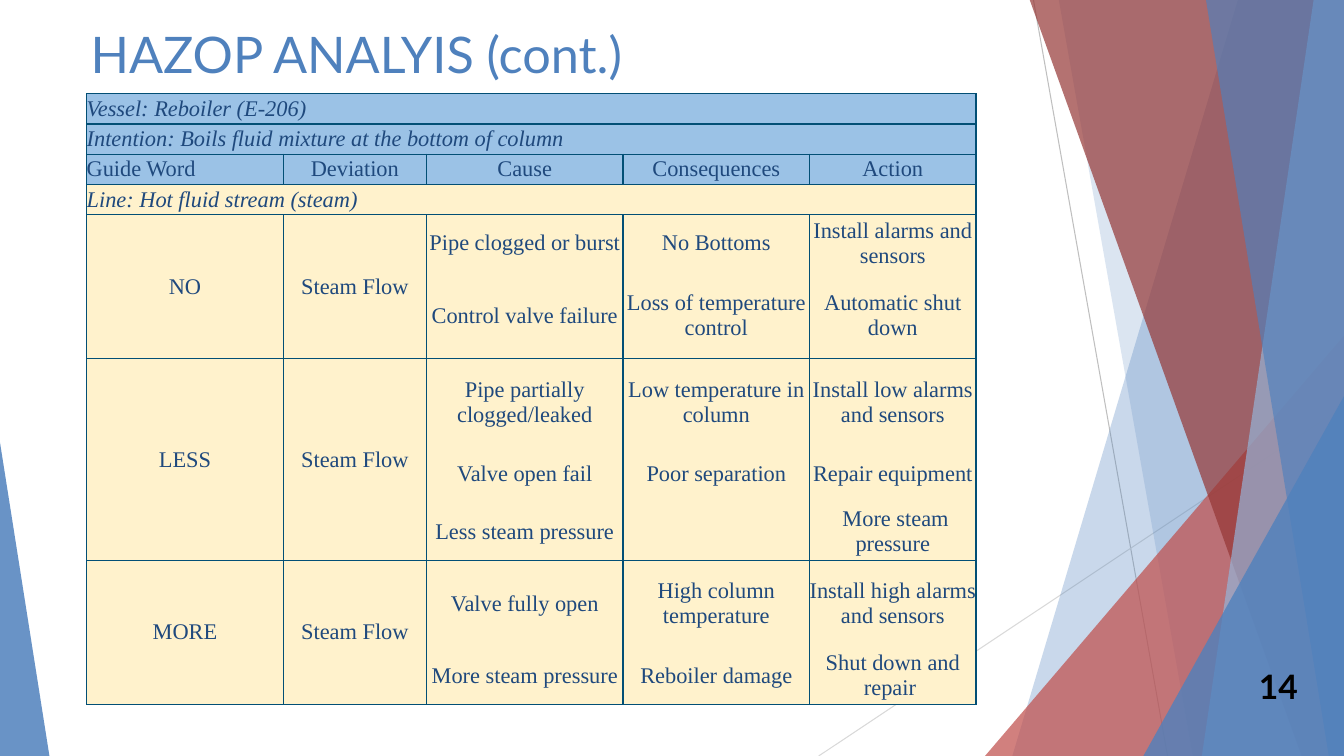
from lxml import etree
from pptx import Presentation
from pptx.dml.color import RGBColor
from pptx.enum.shapes import MSO_CONNECTOR, MSO_SHAPE
from pptx.enum.text import MSO_ANCHOR, PP_ALIGN
from pptx.oxml.ns import qn
from pptx.util import Inches, Pt

LEFT, CENTER, RIGHT = PP_ALIGN.LEFT, PP_ALIGN.CENTER, PP_ALIGN.RIGHT
TOP, MIDDLE = MSO_ANCHOR.TOP, MSO_ANCHOR.MIDDLE
STRAIGHT, TRIANGLE = MSO_CONNECTOR.STRAIGHT, MSO_SHAPE.ISOSCELES_TRIANGLE

# Content
WIDTH, HEIGHT = 13.33, 7.5
TITLE = "HAZOP ANALYIS (cont.)"
PAGE_NUMBER = "14"
BLUE, NAVY, BORDER = "4F81BD", "1F497D", "024F75"
HEADER_FILL, BODY_FILL = "9BC2E6", "FFF2CC"

BANNERS = [  # row, text, fill
    (0, "Vessel: Reboiler (E-206)", HEADER_FILL),
    (1, "Intention: Boils fluid mixture at the bottom of column", HEADER_FILL),
    (3, "Line: Hot fluid stream (steam)", BODY_FILL),
]
HEADINGS = ["Guide Word", "Deviation", "Cause", "Consequences", "Action"]
HEADING_ROW = 2
GROUPS = [  # guide word, deviation, rows of (cause, consequence, action)
    ("NO", "Steam Flow", [
        ("Pipe clogged or burst", "No Bottoms", "Install alarms and sensors"),
        ("Control valve failure", "Loss of temperature control", "Automatic shut down"),
    ]),
    ("LESS", "Steam Flow", [
        ("Pipe partially clogged/leaked", "Low temperature in column",
         "Install low alarms and sensors"),
        ("Valve open fail", "Poor separation", "Repair equipment"),
        ("Less steam pressure", "", " More steam pressure"),
    ]),
    ("MORE", "Steam Flow", [
        ("Valve fully open", "High column temperature", "Install high alarms and sensors"),
        ("More steam pressure", "Reboiler damage", "Shut down and repair "),
    ]),
]
TABLE_LEFT, TABLE_TOP = 0.86, 0.93
COLUMN_WIDTHS = [1.95, 1.42, 1.95, 1.85, 1.65]
ROW_HEIGHTS = [0.3] * 4 + [0.57, 0.86, 0.86, 0.57, 0.57, 0.86, 0.57]

THIN_LINES = [((10.25, 0), (11.58, HEIGHT), "BFBFBF"),
              ((WIDTH, 4.03), (8.12, HEIGHT), "D9D9D9")]
# Bands reach the right edge: top x, bottom x, colour, opacity in percent
BACK_BANDS = [(12.28, 10.04, BLUE, 30), (10.5, 11.83, BLUE, 20)]
FRONT_BANDS = [(10.21, 12.91, "953735", 70), (13.03, 11.92, "95B3D7", 70),
               (11.96, 13.18, BLUE, 65)]
# Corner triangles stand on the bottom edge: left, top, width, apex, colour, opacity
RED_CORNER = (9.77, 3.33, 3.56, 1, "C0504D", 72)
BLUE_CORNERS = [(11.34, 3.93, 1.99, 1, BLUE, 80), (0, 4.39, 0.49, 0, BLUE, 85)]

presentation = Presentation()
presentation.slide_width, presentation.slide_height = Inches(WIDTH), Inches(HEIGHT)
slide = presentation.slides.add_slide(presentation.slide_layouts[6])
shapes = slide.shapes


def color(value):
    return RGBColor.from_string(value)


def paint(shape, fill, opacity):
    shape.shadow.inherit = False
    shape.fill.solid()
    shape.fill.fore_color.rgb = color(fill)
    shape.line.fill.background()
    solid = shape.element.spPr.find(qn("a:solidFill"))
    etree.SubElement(solid[0], qn("a:alpha")).set("val", str(opacity * 1000))


def add_band(top_x, bottom_x, fill, opacity):
    builder = shapes.build_freeform(Inches(top_x), Inches(-0.01))
    corners = [(WIDTH, -0.01), (WIDTH, HEIGHT), (bottom_x, HEIGHT)]
    builder.add_line_segments([(Inches(x), Inches(y)) for x, y in corners], close=True)
    paint(builder.convert_to_shape(), fill, opacity)


def add_corner(left, top, width, apex, fill, opacity):
    triangle = shapes.add_shape(TRIANGLE, Inches(left), Inches(top),
                                Inches(width), Inches(HEIGHT - top))
    triangle.adjustments[0] = apex
    paint(triangle, fill, opacity)


def write(frame, text, size, font, ink, align, bold=False, italic=False):
    paragraph = frame.paragraphs[0]
    paragraph.alignment = align
    run = paragraph.add_run()
    run.text = text
    run.font.size, run.font.name = Pt(size), font
    run.font.bold, run.font.italic = bold, italic
    run.font.color.rgb = color(ink)


def add_text(left, top, width, height, anchor, *style, **options):
    frame = shapes.add_textbox(Inches(left), Inches(top),
                               Inches(width), Inches(height)).text_frame
    frame.word_wrap = True
    frame.vertical_anchor = anchor
    write(frame, *style, **options)


def style_cell(cell, fill, sides):
    cell.margin_left = cell.margin_right = cell.margin_top = cell.margin_bottom = 0
    cell.vertical_anchor = MIDDLE
    properties = cell._tc.get_or_add_tcPr()
    for side in "LRTB":
        line = etree.SubElement(properties, qn("a:ln" + side), w=str(Pt(1)))
        if side in sides:
            solid = etree.SubElement(line, qn("a:solidFill"))
            etree.SubElement(solid, qn("a:srgbClr"), val=BORDER)
        else:
            etree.SubElement(line, qn("a:noFill"))
    cell.fill.solid()
    cell.fill.fore_color.rgb = color(fill)


def fill_cell(row, column, text, align=CENTER, italic=False):
    if text:
        write(table.cell(row, column).text_frame, text, 16, "Times New Roman",
              NAVY, align, italic=italic)


# Background decoration
for start, end, ink in THIN_LINES:
    connector = shapes.add_connector(STRAIGHT, *map(Inches, start + end))
    connector.line.color.rgb = color(ink)
    connector.line.width = Pt(0.75)
    etree.SubElement(connector.element.spPr, qn("a:effectLst"))
for band in BACK_BANDS:
    add_band(*band)
add_corner(*RED_CORNER)
for band in FRONT_BANDS:
    add_band(*band)
for corner in BLUE_CORNERS:
    add_corner(*corner)

# Title and page number
add_text(0.8, 0.18, 9.4, 1.44, TOP, TITLE, 36, "Lato", BLUE, LEFT)
add_text(12.22, 6.61, 0.75, 0.4, MIDDLE, PAGE_NUMBER, 24, "Lato", "000000", RIGHT, bold=True)

# Table grid
table = shapes.add_table(
    len(ROW_HEIGHTS), len(COLUMN_WIDTHS), Inches(TABLE_LEFT), Inches(TABLE_TOP),
    Inches(sum(COLUMN_WIDTHS)), Inches(sum(ROW_HEIGHTS))).table
table.first_row = table.horz_banding = False
for column, width in zip(table.columns, COLUMN_WIDTHS):
    column.width = Inches(width)
for row, height in zip(table.rows, ROW_HEIGHTS):
    row.height = Inches(height)
last_column = len(COLUMN_WIDTHS) - 1

# Banner and heading rows
for row, text, fill in BANNERS:
    for column in range(last_column + 1):
        style_cell(table.cell(row, column), fill, "LRTB")
    table.cell(row, 0).merge(table.cell(row, last_column))
    fill_cell(row, 0, text, LEFT, italic=True)
for column, heading in enumerate(HEADINGS):
    style_cell(table.cell(HEADING_ROW, column), HEADER_FILL, "LRTB")
    fill_cell(HEADING_ROW, column, heading, CENTER if column else LEFT)

# Guide word groups: ruled only around each group
first = len(BANNERS) + 1
for guide_word, deviation, entries in GROUPS:
    last = first + len(entries) - 1
    for row, entry in enumerate(entries, first):
        sides = "LR" + "T" * (row == first) + "B" * (row == last)
        for column in range(last_column + 1):
            style_cell(table.cell(row, column), BODY_FILL, "LRTB" if column < 2 else sides)
        for column, text in enumerate(entry, 2):
            fill_cell(row, column, text)
    for column, text in enumerate((guide_word, deviation)):
        table.cell(first, column).merge(table.cell(last, column))
        fill_cell(first, column, text)
    first = last + 1

presentation.save("out.pptx")
